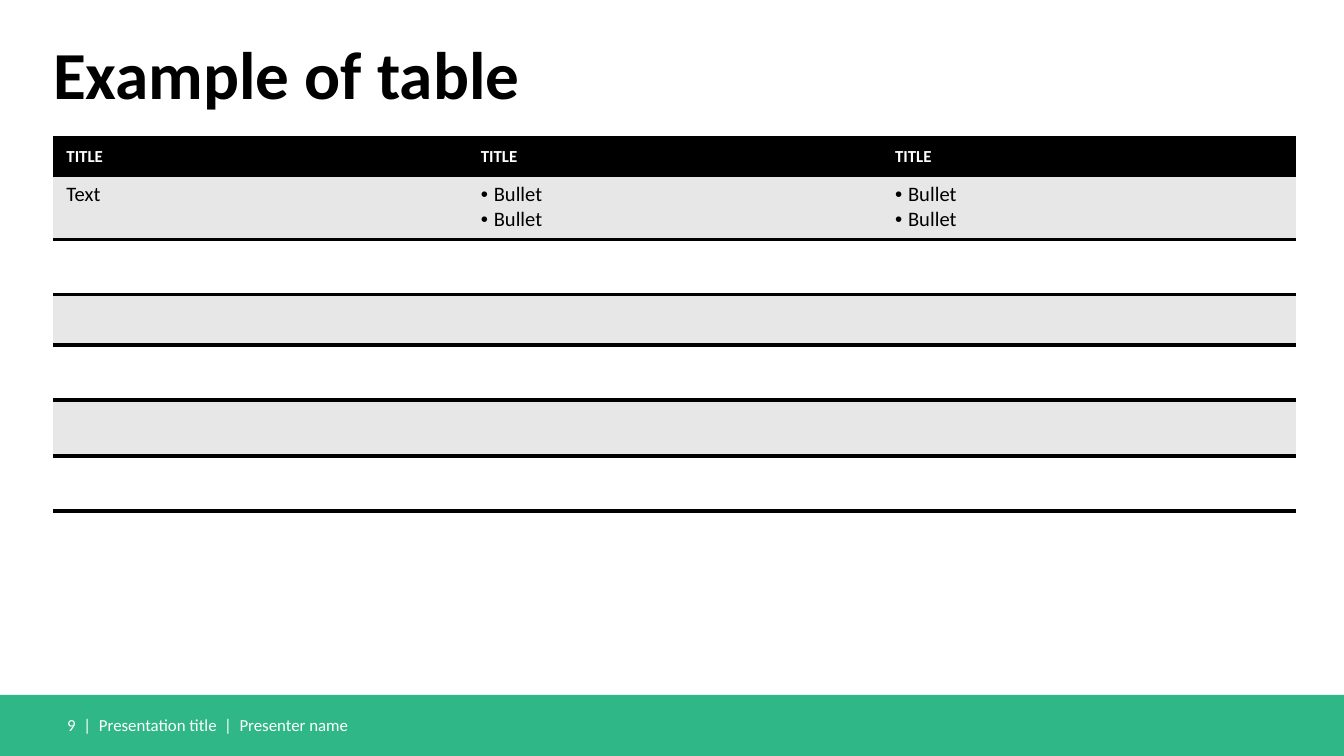
from lxml import etree
from pptx import Presentation
from pptx.dml.color import RGBColor
from pptx.enum.shapes import MSO_SHAPE
from pptx.enum.text import MSO_ANCHOR, PP_ALIGN
from pptx.oxml.ns import qn
from pptx.util import Emu, Pt

RECTANGLE = MSO_SHAPE.RECTANGLE
TOP, MIDDLE = MSO_ANCHOR.TOP, MSO_ANCHOR.MIDDLE
LEFT, RIGHT = PP_ALIGN.LEFT, PP_ALIGN.RIGHT

BLACK = RGBColor(0x00, 0x00, 0x00)
WHITE = RGBColor(0xFF, 0xFF, 0xFF)
GREY = RGBColor(0xE7, 0xE7, 0xE7)
GREEN = RGBColor(0x30, 0xB7, 0x87)
FONT = "Calibri"

# Content: each cell is a list of paragraphs
TITLE = "Example of table"
HEADERS = ["TITLE", "TITLE", "TITLE"]
BULLETS = ["Bullet", "Bullet"]
FIRST_ROW = [["Text"], BULLETS, BULLETS]
ROW_HEIGHTS = [37, 63, 55, 51, 55, 56, 55]
FOOTERS = [
    ("Presentation title  |  Presenter name", 99, 894, LEFT),
    ("9  |", 48, 43, RIGHT),
]

SLIDE_WIDTH, SLIDE_HEIGHT = 1344, 756
MARGIN, TABLE_TOP, TABLE_WIDTH = 53, 138, 1243
BAND_TOP = 695
BULLET_INDENT = 13


def px(length):
    return Emu(round(length * 914400 / 134.4))


def frame(left, top, width, height):
    return px(left), px(top), px(width), px(height)


def style(para, size, color, bold=False):
    font = para.font
    font.name, font.size, font.bold = FONT, Pt(size), bold
    font.color.rgb = color


def clear_insets(text_frame):
    text_frame.margin_left = text_frame.margin_right = 0
    text_frame.margin_top = text_frame.margin_bottom = 0
    text_frame.vertical_anchor = MIDDLE
    text_frame.word_wrap = True


def add_bullet(para):
    properties = para._p.get_or_add_pPr()
    properties.set("marL", str(px(BULLET_INDENT)))
    properties.set("indent", str(-px(BULLET_INDENT)))
    etree.SubElement(properties, qn("a:buFont"), typeface="Arial")
    etree.SubElement(properties, qn("a:buChar"), char="•")


def set_borders(cell):
    """Black rules above and below, nothing at the sides."""
    properties = cell._tc.get_or_add_tcPr()
    for index, side in enumerate(("lnL", "lnR", "lnT", "lnB")):
        line = etree.Element(qn(f"a:{side}"), w=str(Pt(2)))
        if side in ("lnT", "lnB"):
            fill = etree.SubElement(line, qn("a:solidFill"))
            etree.SubElement(fill, qn("a:srgbClr"), val=str(BLACK))
        else:
            etree.SubElement(line, qn("a:noFill"))
        properties.insert(index, line)


def fill_cell(cell, lines, row):
    cell.fill.solid()
    cell.fill.fore_color.rgb = BLACK if row == 0 else GREY if row % 2 else WHITE
    set_borders(cell)
    cell.vertical_anchor = MIDDLE if row == 0 else TOP
    if not lines:
        cell.margin_top = cell.margin_bottom = 0
    for index, text in enumerate(lines):
        para = cell.text_frame.paragraphs[0] if index == 0 else cell.text_frame.add_paragraph()
        para.text = text
        if lines is BULLETS:
            add_bullet(para)
        if row == 0:
            style(para, 9, WHITE, bold=True)
        else:
            style(para, 11, BLACK)


deck = Presentation()
deck.slide_width, deck.slide_height = px(SLIDE_WIDTH), px(SLIDE_HEIGHT)
page = deck.slides.add_slide(deck.slide_layouts[5])

# Footer band
band = page.shapes.add_shape(
    RECTANGLE, *frame(0, BAND_TOP, SLIDE_WIDTH, SLIDE_HEIGHT - BAND_TOP))
band.shadow.inherit = False
band.fill.solid()
band.fill.fore_color.rgb = GREEN
band.line.fill.background()

# Title
title = page.shapes.title
title.left, title.top, title.width, title.height = frame(MARGIN, 31, 1074, 94)
clear_insets(title.text_frame)
title.text_frame.text = TITLE
heading = title.text_frame.paragraphs[0]
heading.alignment = LEFT
heading.line_spacing = 0.9
style(heading, 36, BLACK, bold=True)

# Table
cells = [[[text] for text in HEADERS], FIRST_ROW]
cells += [[[] for _ in HEADERS] for _ in ROW_HEIGHTS[2:]]
table = page.shapes.add_table(
    len(cells), len(HEADERS),
    *frame(MARGIN, TABLE_TOP, TABLE_WIDTH, sum(ROW_HEIGHTS))).table
table.first_row = table.horz_banding = False
for column in table.columns:
    column.width = px(TABLE_WIDTH / len(HEADERS))
for row, (height, row_cells) in enumerate(zip(ROW_HEIGHTS, cells)):
    table.rows[row].height = px(height)
    for column, lines in enumerate(row_cells):
        fill_cell(table.cell(row, column), lines, row)

# Footer text
for text, left, width, alignment in FOOTERS:
    box = page.shapes.add_textbox(*frame(left, 718, width, 13))
    clear_insets(box.text_frame)
    para = box.text_frame.paragraphs[0]
    para.text = text
    para.alignment = alignment
    style(para, 9, WHITE)

deck.save("out.pptx")
